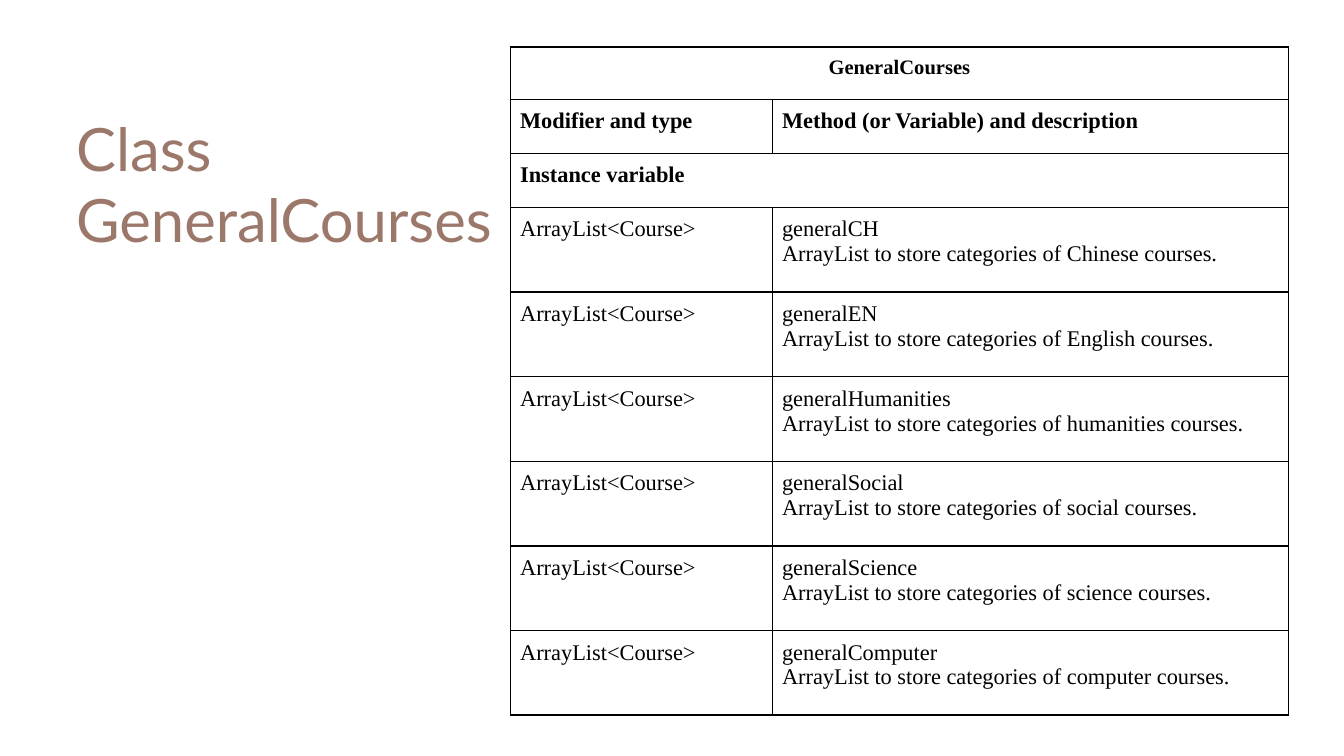
"""Build a slide that lists the variables of the class GeneralCourses."""
from dataclasses import dataclass

import lxml.etree
import pptx
import pptx.dml.color
import pptx.enum.text
import pptx.oxml.ns
import pptx.util

Cm = pptx.util.Cm
Pt = pptx.util.Pt
Align = pptx.enum.text.PP_ALIGN

COLORS = {"text": "000000", "fill": "FFFFFF", "line": "000000", "title": "9C786B"}
KINDS = ("CH", "EN", "Humanities", "Social", "Science", "Computer")
TOPICS = ("Chinese", "English", "humanities", "social", "science", "computer")


@dataclass
class Style:
    font: str
    size: float
    color: str
    bold: bool = False
    align: Align = Align.LEFT


@dataclass
class Row:
    cells: list[list[str]]
    height: float
    style: Style


def rgb(name: str) -> pptx.dml.color.RGBColor:
    return pptx.dml.color.RGBColor.from_string(COLORS[name])


def write(frame: pptx.text.text.TextFrame, lines: list[str], style: Style) -> None:
    for i, line in enumerate(lines):
        para = frame.paragraphs[0] if i == 0 else frame.add_paragraph()
        para.alignment = style.align
        run = para.add_run()
        run.text = line
        run.font.name = style.font
        run.font.size = Pt(style.size)
        run.font.bold = style.bold
        run.font.color.rgb = rgb(style.color)


def pad(box: object, inset: float) -> None:
    box.margin_left = box.margin_right = Cm(inset)
    box.margin_top = box.margin_bottom = Cm(inset)


def border(cell: pptx.table._Cell) -> None:
    qn = pptx.oxml.ns.qn
    props = cell._tc.get_or_add_tcPr()
    for side in ("lnL", "lnR", "lnT", "lnB"):
        line = lxml.etree.SubElement(props, qn(f"a:{side}"), w=str(Pt(1)))
        fill = lxml.etree.SubElement(line, qn("a:solidFill"))
        lxml.etree.SubElement(fill, qn("a:srgbClr"), val=COLORS["line"])


def add_grid(slide: pptx.slide.Slide, rows: list[Row], widths: list[float]) -> None:
    height = sum(row.height for row in rows)
    frame = slide.shapes.add_table(
        len(rows), len(widths), Cm(9.65), Cm(0.89), Cm(sum(widths)), Cm(height)
    )
    table = frame.table
    table.first_row = table.horz_banding = False
    for col, width in zip(table.columns, widths):
        col.width = Cm(width)
    for r, row in enumerate(rows):
        table.rows[r].height = Cm(row.height)
        for c in range(len(widths)):
            cell = table.cell(r, c)
            pad(cell, 0.18)
            border(cell)
            cell.fill.solid()
            cell.fill.fore_color.rgb = rgb("fill")
        if len(row.cells) == 1:
            table.cell(r, 0).merge(table.cell(r, len(widths) - 1))
        for c, lines in enumerate(row.cells):
            write(table.cell(r, c).text_frame, lines, row.style)


def add_title(slide: pptx.slide.Slide, lines: list[str]) -> None:
    box = slide.shapes.add_textbox(Cm(1.19), Cm(2.54), Cm(12.67), Cm(1.85))
    frame = box.text_frame
    frame.word_wrap = True
    frame.vertical_anchor = pptx.enum.text.MSO_ANCHOR.MIDDLE
    pad(frame, 0.25)
    write(frame, lines, Style("Lato", 32, "title"))


def main() -> None:
    deck = pptx.Presentation()
    deck.slide_width, deck.slide_height = Cm(25.4), Cm(14.29)
    slide = deck.slides.add_slide(deck.slide_layouts[6])
    serif = "Times New Roman"
    name = Style(serif, 11, "text", True, Align.CENTER)
    head = Style(serif, 12, "text", True)
    body = Style(serif, 12, "text")
    rows = [
        Row([["GeneralCourses"]], 0.99, name),
        Row([["Modifier and type"], ["Method (or Variable) and description"]], 1.02, head),
        Row([["Instance variable"]], 1.02, head),
    ]
    for kind, topic in zip(KINDS, TOPICS):
        note = f"ArrayList to store categories of {topic} courses."
        rows.append(Row([["ArrayList<Course>"], [f"general{kind}", note]], 1.6, body))
    add_grid(slide, rows, [4.95, 9.75])
    add_title(slide, ["Class", "GeneralCourses"])
    deck.save("out.pptx")


if __name__ == "__main__":
    main()
